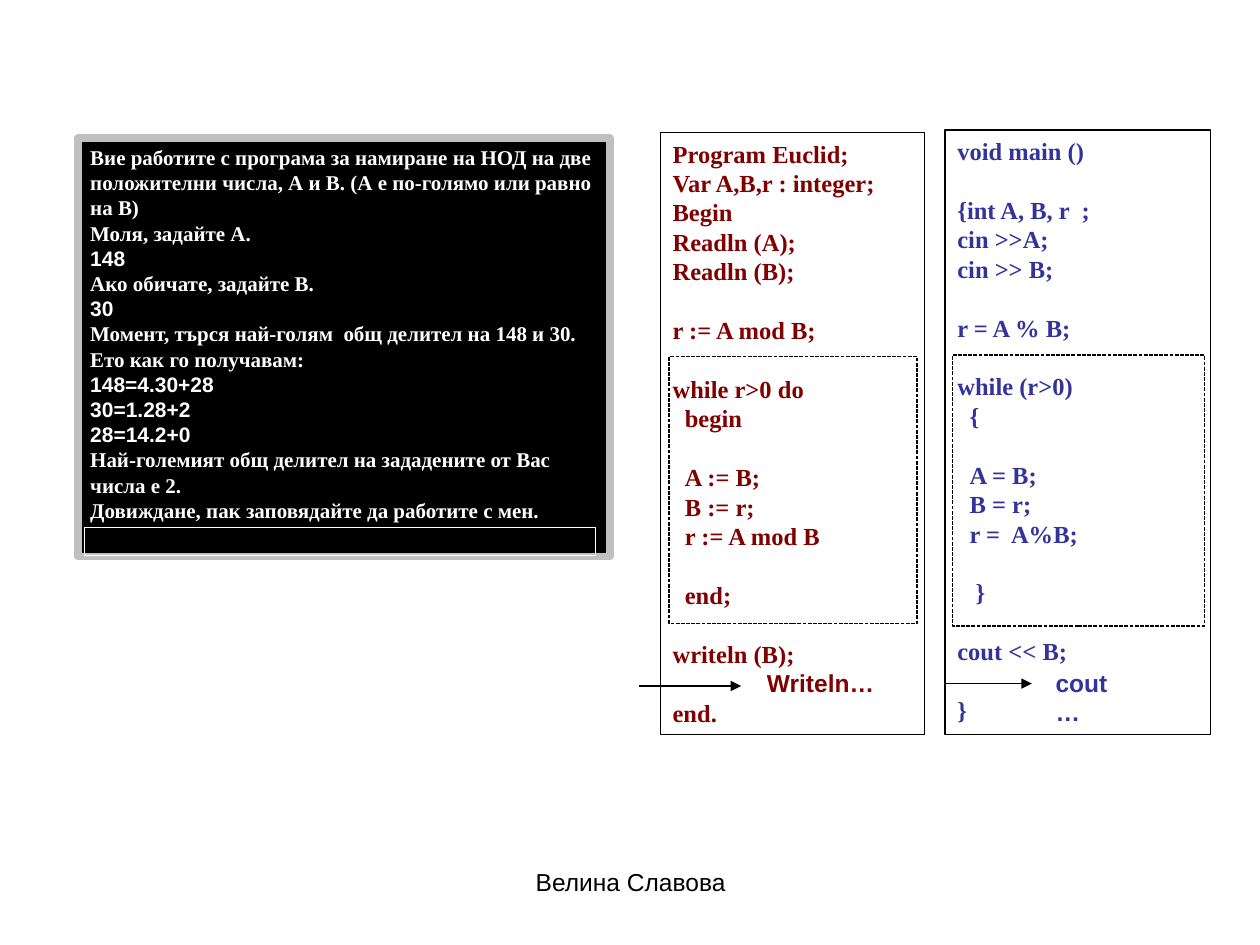
from lxml import etree
from pptx import Presentation
from pptx.dml.color import RGBColor
from pptx.enum.dml import MSO_LINE_DASH_STYLE as DASH
from pptx.enum.shapes import MSO_CONNECTOR, MSO_SHAPE
from pptx.enum.text import MSO_ANCHOR, PP_ALIGN
from pptx.oxml.ns import qn
from pptx.util import Cm, Pt

BLACK = RGBColor(0x00, 0x00, 0x00)
WHITE = RGBColor(0xFF, 0xFF, 0xFF)
SILVER = RGBColor(0xC0, 0xC0, 0xC0)
MAROON = RGBColor(0x80, 0x00, 0x00)
INDIGO = RGBColor(0x33, 0x33, 0x99)
SERIF, SANS = "Times New Roman", "Arial"
LINE_FACTOR = 1.2

SESSION = """Вие работите с програма за намиране на НОД на две положителни числа, А и В. (А е по-голямо или равно на В)
Моля, задайте А.
148
Ако обичате, задайте В.
30
Момент, търся най-голям  общ делител на 148 и 30.
Ето как го получавам:
148=4.30+28
30=1.28+2
28=14.2+0
Най-големият общ делител на зададените от Вас числа е 2.
Довиждане, пак заповядайте да работите с мен."""

PASCAL = """Program Euclid;
Var A,B,r : integer;
Begin
Readln (A);
Readln (B);

r := A mod B;

while r>0 do
  begin

  A := B;
  B := r;
  r := A mod B

  end;

writeln (B);

end."""

CPP = """void main ()

{int A, B, r  ;
cin >>A;
cin >> B;

r = A % B;

while (r>0)
  {

  A = B;
  B = r;
  r =  A%B;

   }

cout << B;

}"""


def add_rect(slide, box, line, width=0.75, fill=None, dash=None):
    sp = slide.shapes.add_shape(MSO_SHAPE.RECTANGLE, *map(Cm, box))
    sp.shadow.inherit = False
    if fill is None:
        sp.fill.background()
    else:
        sp.fill.solid()
        sp.fill.fore_color.rgb = fill
    sp.line.color.rgb = line
    sp.line.width = Pt(width)
    if dash is not None:
        sp.line.dash_style = dash
    return sp


def style(p, size, color, name, bold=True):
    p.font.size = Pt(size)
    p.font.name = name
    p.font.bold = bold
    p.font.color.rgb = color


def fill_lines(sp, text, size, color):
    tf = sp.text_frame
    tf.word_wrap = True
    tf.vertical_anchor = MSO_ANCHOR.TOP
    pitch = Pt(size * LINE_FACTOR)
    gap, p = 0, None
    for line in text.split("\n"):
        if not line:
            gap += pitch
            continue
        p = tf.add_paragraph() if p else tf.paragraphs[0]
        p.text = line.lstrip()
        p.alignment = PP_ALIGN.LEFT
        p.line_spacing = pitch
        p.space_before = gap
        style(p, size, color, SANS if line[0].isdigit() else SERIF)
        spaces = len(line) - len(p.text)
        if spaces:
            p._p.get_or_add_pPr().set("marL", str(Pt(size * spaces / 4)))
        gap = 0


def add_label(slide, box, text, color, wrap=False, bold=True):
    tf = slide.shapes.add_textbox(*map(Cm, box)).text_frame
    tf.word_wrap = wrap
    p = tf.paragraphs[0]
    p.text = text
    style(p, 14, color, SANS, bold)
    return p


def add_arrow(slide, x1, x2, y):
    c = slide.shapes.add_connector(MSO_CONNECTOR.STRAIGHT, Cm(x1), Cm(y), Cm(x2), Cm(y))
    c.line.color.rgb = BLACK
    c.line.width = Pt(0.75)
    etree.SubElement(c.line._get_or_add_ln(), qn("a:tailEnd"), type="triangle")
    etree.SubElement(c._element.spPr, qn("a:effectLst"))


def add_terminal(slide, box):
    x, y, w, h = box
    fill_lines(add_rect(slide, box, SILVER, 4.5, BLACK), SESSION, 12, WHITE)
    add_rect(slide, (x + 0.13, y + h - 0.58, w - 0.41, 0.56), WHITE)


def add_listing(slide, box, code, color, loop, arrow, label, label_box):
    x, y, w, h = box
    fill_lines(add_rect(slide, box, BLACK, fill=WHITE), code, 14, color)
    dx, dy, lw, lh = loop
    add_rect(slide, (x + dx, y + dy, lw, lh), BLACK, dash=DASH.SQUARE_DOT)
    start, end = arrow
    add_arrow(slide, x + start, x + end, y + 11.16)
    dx, dy, lw, lh = label_box
    add_label(slide, (x + dx, y + dy, lw, lh), label, color)


def add_footer(slide, box):
    p = add_label(slide, box, "Велина Славова", BLACK, wrap=True, bold=False)
    p.alignment = PP_ALIGN.CENTER


def main():
    prs = Presentation()
    prs.slide_width, prs.slide_height = Cm(25.4), Cm(19.05)
    slide = prs.slides.add_slide(prs.slide_layouts[6])
    add_terminal(slide, (1.57, 2.79, 10.72, 8.43))
    add_listing(slide, (13.31, 2.67, 5.33, 12.14), PASCAL, MAROON,
                loop=(0.18, 4.52, 5, 5.38), arrow=(-0.43, 1.63),
                label="Writeln…", label_box=(1.9, 10.67, 2.67, 0.86))
    add_listing(slide, (19.05, 2.62, 5.36, 12.19), CPP, INDIGO,
                loop=(0.15, 4.54, 5.08, 5.46), arrow=(0, 1.75),
                label="cout…", label_box=(1.98, 10.72, 2.03, 0.86))
    add_footer(slide, (8.69, 17.35, 8.05, 1.32))
    prs.save("out.pptx")


if __name__ == "__main__":
    main()
